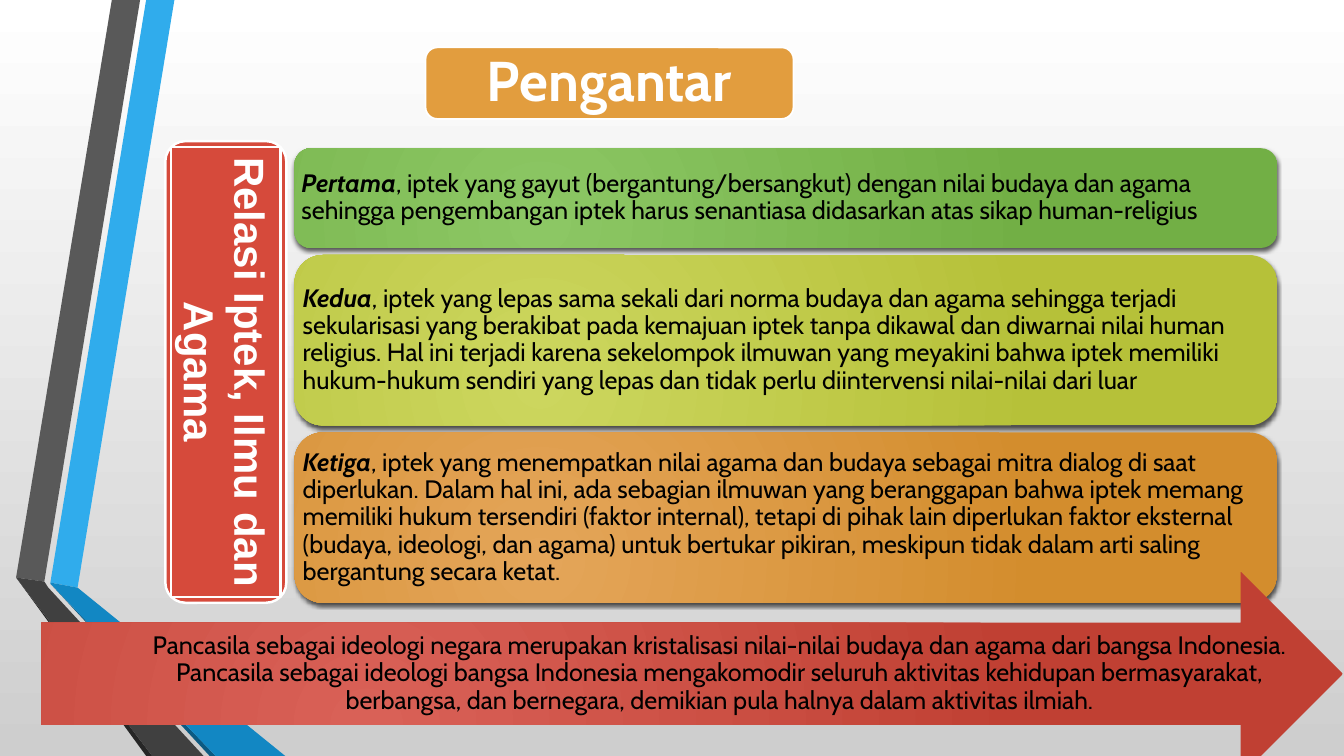
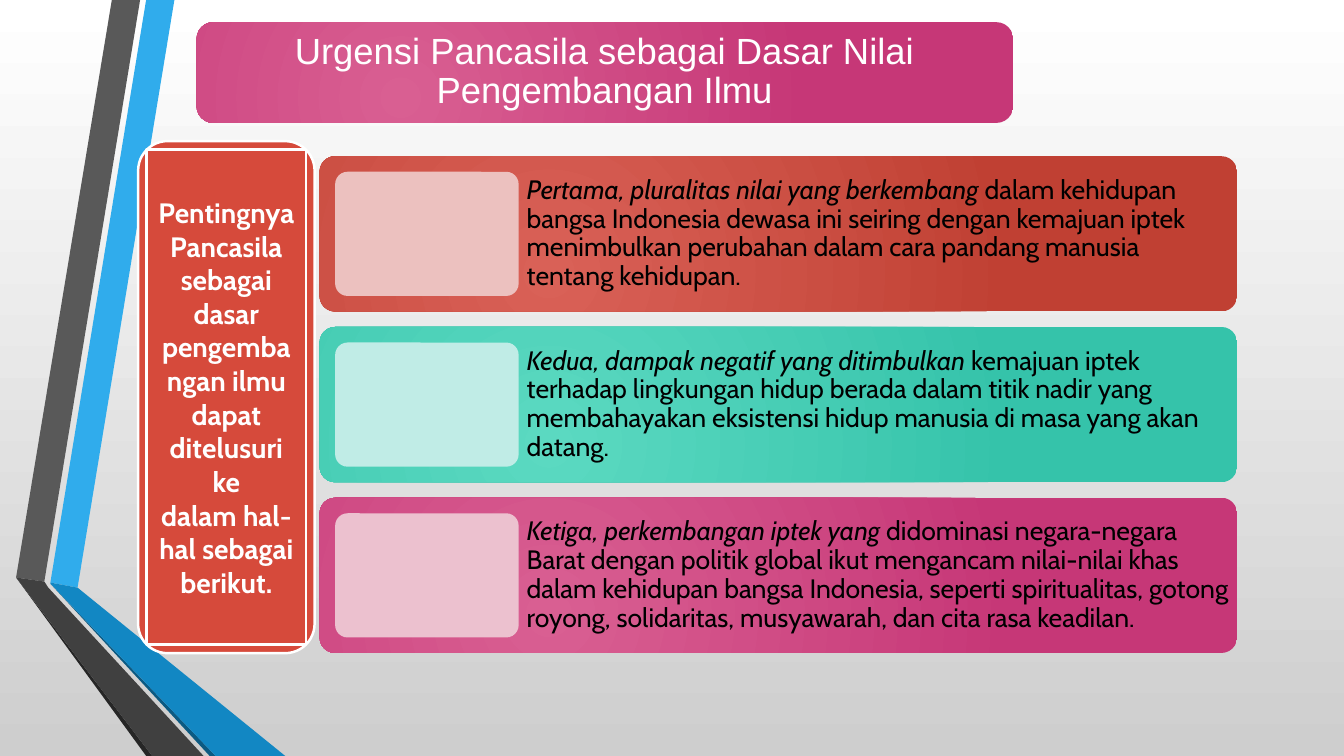
import pptx
import pptx.dml.color
import pptx.enum.shapes
import pptx.enum.text
import pptx.oxml
import pptx.oxml.ns
import pptx.util
from lxml import etree

Inches = pptx.util.Inches
Pt = pptx.util.Pt
RGB = pptx.dml.color.RGBColor
SHAPE = pptx.enum.shapes.MSO_SHAPE
ALIGN = pptx.enum.text.PP_ALIGN
qn = pptx.oxml.ns.qn

WHITE = RGB(0xFF, 0xFF, 0xFF)
BLACK = RGB(0, 0, 0)
SILVER = RGB(0xCE, 0xCE, 0xCE)
ORANGE = RGB(0xE2, 0x9D, 0x3E)
RED = RGB(0xD6, 0x4A, 0x3B)
PALE_RED = RGB(0xEC, 0xC1, 0xBF)
PALE_TEAL = RGB(0xC0, 0xEC, 0xE6)
PALE_PINK = RGB(0xEC, 0xC1, 0xCF)
GREEN_GLOW = (RGB(0x8C, 0xC7, 0x64), RGB(0x72, 0xAF, 0x45))
LIME_GLOW = (RGB(0xCC, 0xD6, 0x5E), RGB(0xB6, 0xC1, 0x39))
ORANGE_GLOW = (RGB(0xE4, 0xA5, 0x59), RGB(0xD3, 0x8D, 0x2D))
RED_GLOW = (RGB(0xD9, 0x61, 0x57), RGB(0xC0, 0x40, 0x33))
TEAL_GLOW = (RGB(0x5B, 0xD9, 0xC1), RGB(0x35, 0xC3, 0xAA))
PINK_GLOW = (RGB(0xD9, 0x5F, 0x92), RGB(0xC6, 0x37, 0x77))

RIBBONS = [
    (RGB(0x30, 0xAC, 0xEC), [(0.5, 5.78), (0.77, 5.83), (1.73, 0), (1.45, 0)]),
    (RGB(0x59, 0x59, 0x59), [(1.39, 0), (1.11, 0), (0.16, 5.73), (0.44, 5.77)]),
    (RGB(0x26, 0x26, 0x26), [(0.16, 5.73), (1.45, 7.5), (1.51, 7.5)]),
    (RGB(0x0C, 0x5A, 0x82), [(0.5, 5.79), (2.08, 7.5), (2.14, 7.5)]),
    (RGB(0x12, 0x87, 0xC3), [(0.5, 5.79), (2.14, 7.5), (2.83, 7.5), (0.77, 5.83), (0.5, 5.78)]),
    (RGB(0x40, 0x40, 0x40), [(2.02, 7.5), (0.48, 5.83), (0.44, 5.77), (0.16, 5.73), (1.51, 7.5)]),
]

HEADING, BODY = "Arial", "Cabin"
DEFAULT_CORNER = 0.1667
CORNER_INSET = 0.29

RELATIONS = [
    (0.99, GREEN_GLOW, "Pertama", ", iptek yang gayut (bergantung/bersangkut) dengan nilai budaya dan agama sehingga pengembangan iptek harus senantiasa didasarkan atas sikap human-religius"),
    (1.69, LIME_GLOW, "Kedua", ", iptek yang lepas sama sekali dari norma budaya dan agama sehingga terjadi sekularisasi yang berakibat pada kemajuan iptek tanpa dikawal dan diwarnai nilai human religius. Hal ini terjadi karena sekelompok ilmuwan yang meyakini bahwa iptek memiliki hukum-hukum sendiri yang lepas dan tidak perlu diintervensi nilai-nilai dari luar"),
    (1.69, ORANGE_GLOW, "Ketiga", ", iptek yang menempatkan nilai agama dan budaya sebagai mitra dialog di saat diperlukan. Dalam hal ini, ada sebagian ilmuwan yang beranggapan bahwa iptek memang memiliki hukum tersendiri (faktor internal), tetapi di pihak lain diperlukan faktor eksternal (budaya, ideologi, dan agama) untuk bertukar pikiran, meskipun tidak dalam arti saling bergantung secara ketat."),
]
CONCLUSION = "Pancasila sebagai ideologi negara merupakan kristalisasi nilai-nilai budaya dan agama dari bangsa Indonesia. Pancasila sebagai ideologi bangsa Indonesia mengakomodir seluruh aktivitas kehidupan bermasyarakat, berbangsa, dan bernegara, demikian pula halnya dalam aktivitas ilmiah."
REASONS = [
    (RED_GLOW, PALE_RED, "Pertama, pluralitas nilai yang berkembang ", "dalam kehidupan bangsa Indonesia dewasa ini seiring dengan kemajuan iptek menimbulkan perubahan dalam cara pandang manusia tentang kehidupan."),
    (TEAL_GLOW, PALE_TEAL, "Kedua, dampak negatif yang ditimbulkan ", "kemajuan iptek terhadap lingkungan hidup berada dalam titik nadir yang membahayakan eksistensi hidup manusia di masa yang akan datang."),
    (PINK_GLOW, PALE_PINK, "Ketiga, perkembangan iptek yang ", "didominasi negara-negara Barat dengan politik global ikut mengancam nilai-nilai khas dalam kehidupan bangsa Indonesia, seperti spiritualitas, gotong royong, solidaritas, musyawarah, dan cita rasa keadilan."),
]


def set_gradient(fill, colours):
    """Give a fill two gradient stops."""
    fill.gradient()
    for stop, colour in zip(fill.gradient_stops, colours):
        stop.color.rgb = colour


def paint(shape, paint_with, line_width=None):
    """Fill a shape with one colour or a glow, with an optional white outline."""
    shape.shadow.inherit = False
    if isinstance(paint_with, tuple) and not isinstance(paint_with, RGB):
        set_gradient(shape.fill, paint_with)
        grad = shape._element.spPr.find(qn("a:gradFill"))
        grad.remove(grad.find(qn("a:lin")))
        glow = etree.SubElement(grad, qn("a:path"), path="circle")
        etree.SubElement(glow, qn("a:fillToRect"), l="50000", t="100000", r="100000", b="50000")
    else:
        shape.fill.solid()
        shape.fill.fore_color.rgb = paint_with
    if line_width:
        shape.line.color.rgb = WHITE
        shape.line.width = Pt(line_width)
    else:
        shape.line.fill.background()


def add_panel(slide, kind, box, paint_with, line_width=None, corner=None):
    """Add a painted preset shape in a box given in inches."""
    panel = slide.shapes.add_shape(kind, *map(Inches, box))
    if corner is not None:
        panel.adjustments[0] = corner
    paint(panel, paint_with, line_width)
    return panel


def drop_shadow(shape):
    """Add a soft shadow below a shape."""
    effects = shape._element.spPr.find(qn("a:effectLst"))
    shadow = etree.SubElement(effects, qn("a:outerShdw"), blurRad=str(Pt(3)),
                              dist=str(Pt(2)), dir="5400000", rotWithShape="0")
    colour = etree.SubElement(shadow, qn("a:srgbClr"), val="000000")
    etree.SubElement(colour, qn("a:alpha"), val="64000")


def write(shape, paragraphs, size, font, colour, align=ALIGN.CENTER, bold=False,
          margins=(0.08, 0.08, 0.08, 0.08), spacing=0.9):
    """Write paragraphs, each a list of (text, bold, italic) runs or a plain string."""
    frame = shape.text_frame
    frame.word_wrap = True
    frame.vertical_anchor = pptx.enum.text.MSO_ANCHOR.MIDDLE
    (frame.margin_left, frame.margin_top,
     frame.margin_right, frame.margin_bottom) = map(Inches, margins)
    for index, content in enumerate(paragraphs):
        paragraph = frame.paragraphs[0] if index == 0 else frame.add_paragraph()
        paragraph.alignment = align
        paragraph.line_spacing = spacing
        paragraph.font.size = Pt(size)
        paragraph.font.name = font
        paragraph.font.color.rgb = colour
        runs = [(content, bold, False)] if isinstance(content, str) else content
        for text, is_bold, is_italic in runs:
            run = paragraph.add_run()
            run.text = text
            run.font.size = Pt(size)
            run.font.name = font
            run.font.color.rgb = colour
            run.font.bold = is_bold
            run.font.italic = is_italic


def add_ribbons(slide):
    """Draw the folded ribbons at the left edge."""
    for colour, points in RIBBONS:
        start, *rest = [(Inches(x), Inches(y)) for x, y in points]
        builder = slide.shapes.build_freeform(*start, scale=1.0)
        builder.add_line_segments(rest, close=True)
        paint(builder.convert_to_shape(), colour)


def add_title(slide, box, text, paint_with, size, font, bold=False, line_width=None):
    """Add the rounded title plate."""
    plate = add_panel(slide, SHAPE.ROUNDED_RECTANGLE, box, paint_with, line_width)
    write(plate, [text], size, font, WHITE, bold=bold)


def add_side_label(slide, box, paragraphs, size, font, vertical=False):
    """Add the red framed label beside the bars."""
    left, top, width, height = box
    inset = CORNER_INSET * DEFAULT_CORNER * width
    add_panel(slide, SHAPE.ROUNDED_RECTANGLE, box, RED, 1.75)
    label = add_panel(slide, SHAPE.RECTANGLE,
                      (left + inset, top + inset, width - 2 * inset, height - 2 * inset), RED, 1.75)
    write(label, paragraphs, size, font, WHITE, bold=True, spacing=1.0)
    if vertical:
        label.text_frame._txBody.bodyPr.set("vert", "vert")


def add_bar(slide, box, colours, runs, size, inset, corner=DEFAULT_CORNER, indent=0):
    """Add a rounded bar whose text starts after an indent."""
    bar = add_panel(slide, SHAPE.ROUNDED_RECTANGLE, box, colours, corner=corner)
    margin = max(0, inset - CORNER_INSET * corner * box[3])
    write(bar, [runs], size, BODY, BLACK, ALIGN.LEFT,
          margins=(indent + margin, margin, margin, margin))
    return bar


def add_relations(slide, left, top, width, gap):
    """Stack the bars on how science relates to religion."""
    for height, colours, lead, rest in RELATIONS:
        runs = [(lead, True, True), (rest, False, False)]
        drop_shadow(add_bar(slide, (left, top, width, height), colours, runs, 18, 0.07))
        top += height + gap


def add_reasons(slide, left, top, width, height):
    """Stack the bars of reasons, each with a pale plate."""
    pad = 0.1 * height
    plate_width = 0.2 * width
    for index, (colours, pale, lead, rest) in enumerate(REASONS):
        bar_top = top + index * (height + pad)
        runs = [(lead, False, True), (rest, False, False)]
        add_bar(slide, (left, bar_top, width, height), colours, runs, 19, 0.08,
                corner=0.1, indent=pad + plate_width)
        add_panel(slide, SHAPE.ROUNDED_RECTANGLE,
                  (left + pad, bar_top + pad, plate_width, height - 2 * pad), pale, corner=0.1)


def add_conclusion(slide, box):
    """Add the wide arrow with the closing statement."""
    arrow = add_panel(slide, SHAPE.RIGHT_ARROW, box, RED_GLOW)
    write(arrow, [CONCLUSION], 18, BODY, BLACK, margins=(1.05, 0, 0, 0))


def build_introduction(slide):
    """Build the introduction slide."""
    add_ribbons(slide)
    add_relations(slide, 2.92, 1.47, 9.75, 0.07)
    add_title(slide, (4.22, 0.47, 3.65, 0.71), "Pengantar", ORANGE, 40, BODY, True, 1.25)
    add_side_label(slide, (1.64, 1.4, 1.2, 4.58), ["Relasi Iptek, Ilmu dan Agama"],
                   30, HEADING, vertical=True)
    add_conclusion(slide, (0.41, 5.67, 12.91, 2.03))


def build_urgency(slide):
    """Build the slide on the urgency of Pancasila."""
    add_ribbons(slide)
    add_title(slide, (1.95, 0.22, 8.1, 1), "Urgensi Pancasila sebagai Dasar Nilai Pengembangan Ilmu",
              PINK_GLOW, 26, HEADING)
    add_side_label(slide, (1.37, 1.4, 1.75, 5.08),
                   ["Pentingnya Pancasila sebagai dasar pengembangan ilmu dapat ditelusuri ke",
                    "dalam hal-hal sebagai berikut."], 20, BODY)
    add_reasons(slide, 3.17, 1.55, 9.1, 1.54)


def main():
    """Build and save the presentation."""
    deck = pptx.Presentation()
    deck.slide_width = Inches(13.33)
    deck.slide_height = Inches(7.5)
    backdrop = deck.slide_master.background.fill
    set_gradient(backdrop, (WHITE, SILVER))
    backdrop.gradient_angle = 270
    for build in (build_introduction, build_urgency):
        build(deck.slides.add_slide(deck.slide_layouts[6]))
    deck.save("out.pptx")


if __name__ == "__main__":
    main()
